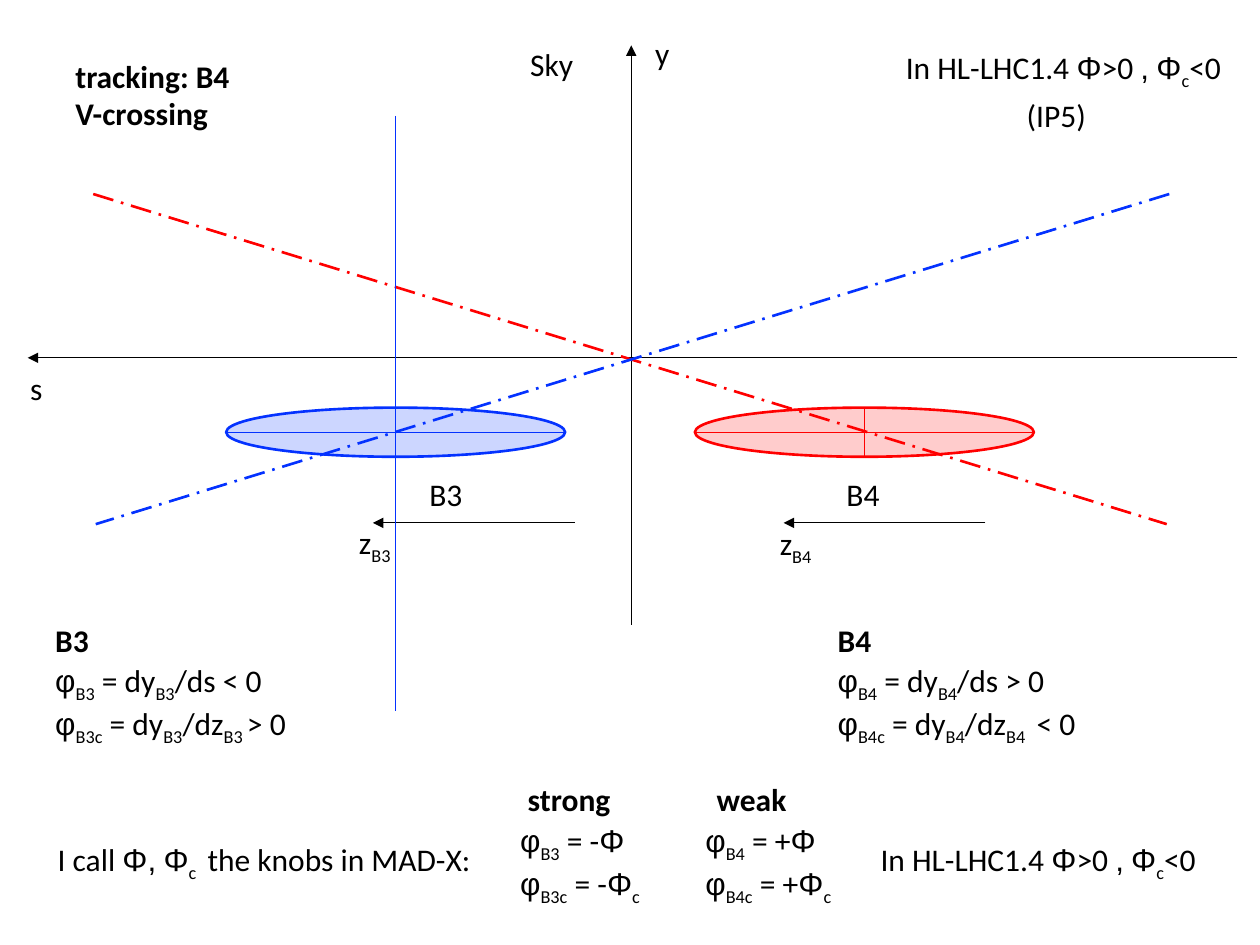
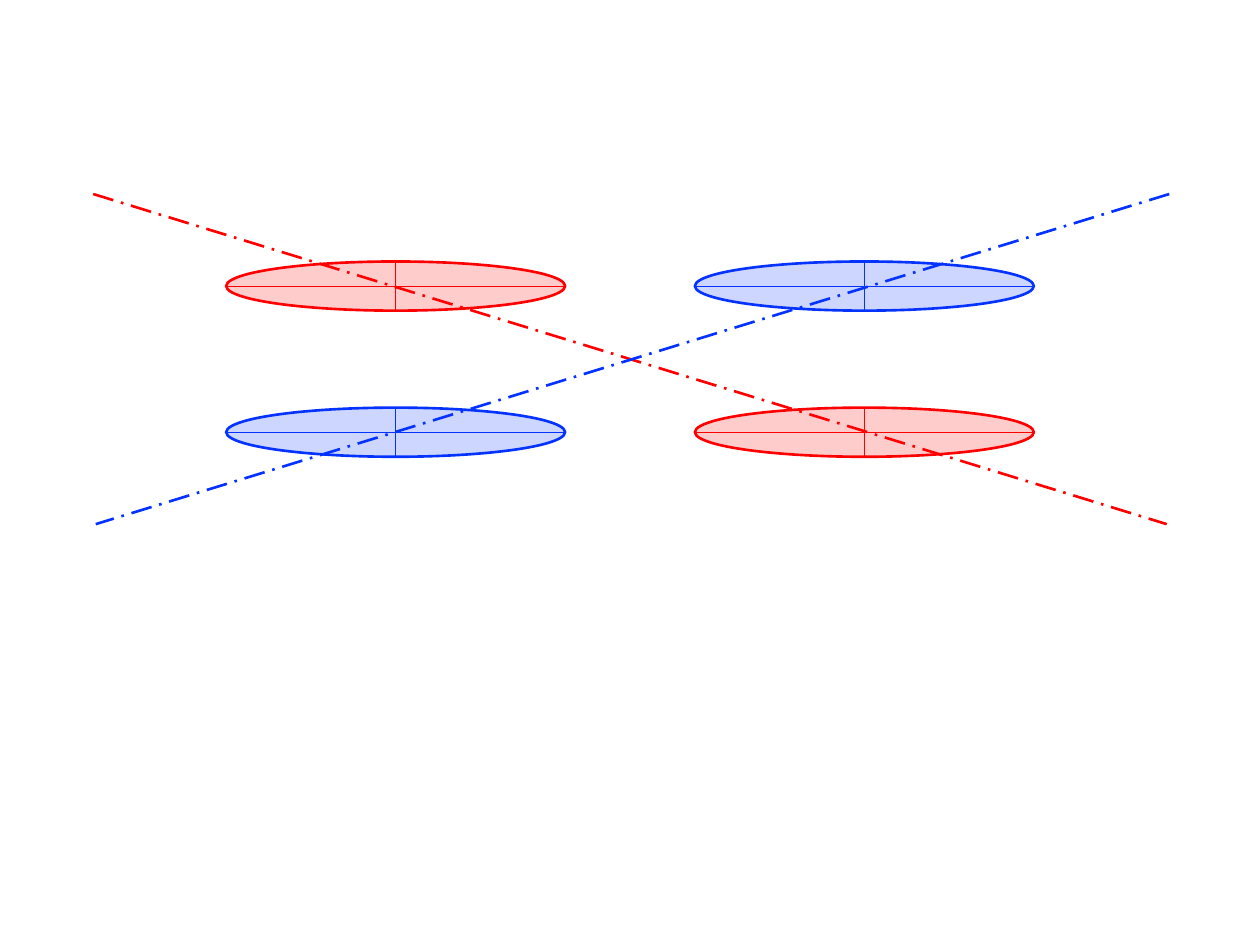
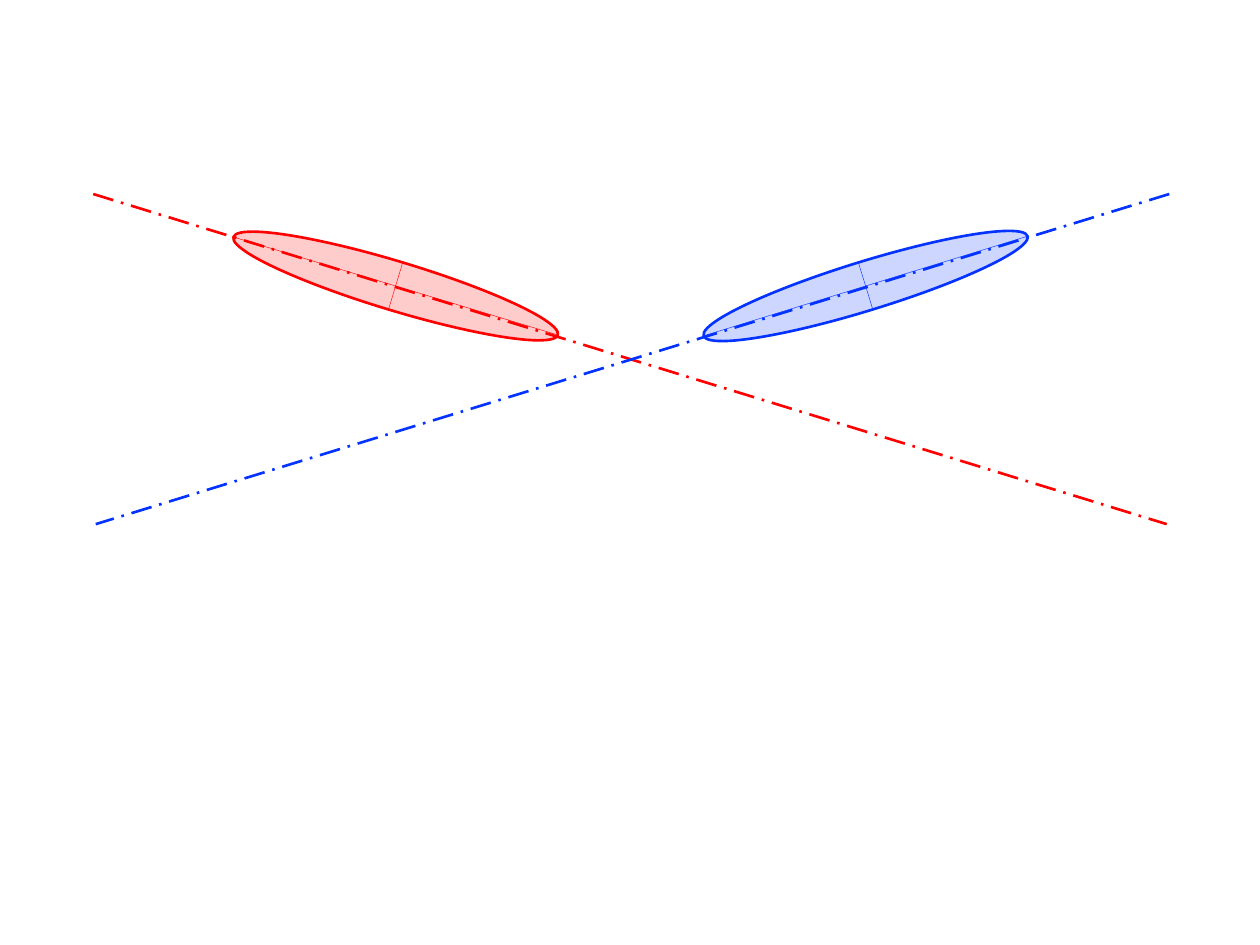
from itertools import groupby
from math import cos, radians, sin

from lxml.etree import SubElement
from pptx import Presentation
from pptx.dml.color import RGBColor
from pptx.enum.dml import MSO_LINE
from pptx.enum.shapes import MSO_CONNECTOR, MSO_SHAPE
from pptx.enum.text import MSO_AUTO_SIZE
from pptx.oxml.ns import qn
from pptx.util import Inches, Pt

COLORS = {"black": "000000", "red": "FF0000", "blue": "0432FF"}
FONT, SYMBOL_FONT = "Calibri", "Arial"
SYMBOLS = "φΦ,"  # characters set in the symbol font
BUNCH_W, BUNCH_H = 2.69, 0.39
LEFT_X, RIGHT_X = 3.14, 6.86
UPPER_Y, LOWER_Y = 2.27, 3.43


def add_line(shapes, start, end, color, width, dash=None, arrow=False):
    """Draw a straight line, optionally dashed or with an arrowhead at its end."""
    sp = shapes.add_connector(MSO_CONNECTOR.STRAIGHT,
                              *[Inches(v) for v in (*start, *end)])
    sp.line.color.rgb = RGBColor.from_string(COLORS[color])
    sp.line.width = Pt(width)
    if dash:
        sp.line.dash_style = dash
    if arrow:
        SubElement(sp.line._get_or_add_ln(), qn("a:tailEnd"), type="triangle")
    SubElement(sp._element.spPr, qn("a:effectLst"))


def add_bunch(s, cx, cy, color, angle=0, vertical=None):
    """Draw a translucent beam bunch with its two axes, turned clockwise by angle."""
    shapes = s.shapes.add_group_shape().shapes
    sp = shapes.add_shape(MSO_SHAPE.OVAL, Inches(cx - BUNCH_W / 2), Inches(cy - BUNCH_H / 2),
                          Inches(BUNCH_W), Inches(BUNCH_H))
    sp.rotation = angle
    sp.shadow.inherit = False
    sp.fill.solid()
    sp.fill.fore_color.rgb = RGBColor.from_string(COLORS[color])
    SubElement(sp._element.spPr.find(".//" + qn("a:srgbClr")), qn("a:alpha"), val="20000")
    sp.line.color.rgb = RGBColor.from_string(COLORS[color])
    sp.line.width = Pt(1.5)

    c, d = cos(radians(angle)), sin(radians(angle))
    a, b = BUNCH_W / 2, BUNCH_H / 2
    add_line(shapes, (cx - a * c, cy - a * d), (cx + a * c, cy + a * d), color, 0.25)
    top, bottom = vertical or (cy - b, cy + b)
    add_line(shapes, (cx - (top - cy) * d, cy + (top - cy) * c),
             (cx - (bottom - cy) * d, cy + (bottom - cy) * c), color, 0.25)


prs = Presentation()
prs.slide_width, prs.slide_height = Inches(10), Inches(7.5)
slides = [prs.slides.add_slide(prs.slide_layouts[6]) for _ in range(3)]
axes_slide, pairs_slide, tilted_slide = slides

# Axes of the first slide lie behind the beams
for start, end in [((5.01, 4.96), (5.01, 0.36)), ((9.82, 2.84), (0.22, 2.84)),
                   ((4.56, 4.15), (2.96, 4.15)), ((7.82, 4.15), (6.22, 4.15))]:
    add_line(axes_slide.shapes, start, end, "black", 0.5, arrow=True)

# Crossing beams, shared by all slides
for s in slides:
    add_line(s.shapes, (0.74, 1.54), (9.26, 4.16), "red", 1.5, MSO_LINE.LONG_DASH_DOT)
    add_line(s.shapes, (9.28, 1.54), (0.76, 4.16), "blue", 1.5, MSO_LINE.LONG_DASH_DOT)

# Bunches
add_bunch(axes_slide, LEFT_X, LOWER_Y, "blue", vertical=(0.92, 5.64))
add_bunch(axes_slide, RIGHT_X, LOWER_Y, "red")

add_bunch(pairs_slide, RIGHT_X, UPPER_Y, "blue")
add_bunch(pairs_slide, LEFT_X, UPPER_Y, "red")
add_bunch(pairs_slide, LEFT_X, LOWER_Y, "blue")
add_bunch(pairs_slide, RIGHT_X, LOWER_Y, "red")

add_bunch(tilted_slide, RIGHT_X + 0.01, UPPER_Y, "blue", -17.1)
add_bunch(tilted_slide, LEFT_X, UPPER_Y, "red", 16.8)

# Labels: left, top, width, bold, wrap, paragraphs; subscripts stand between bars
KNOBS = "In HL-LHC1.4 Φ>0 , Φ|c|<0"
labels = [
    (5.1, 0.22, 0.32, False, False, ["y"]),
    (0.14, 2.88, 0.31, False, False, ["s"]),
    (4.11, 0.31, 0.55, False, False, ["Sky"]),
    (0.5, 0.4, 1.44, True, False, ["tracking: B4", "V-crossing"]),
    (7.09, 0.33, 2.79, False, False, [KNOBS]),
    (8.05, 0.71, 0.68, False, False, ["(IP5)"]),
    (3.31, 3.72, 0.47, False, False, ["B3"]),
    (6.62, 3.72, 0.47, False, False, ["B4"]),
    (2.75, 4.1, 0.48, False, False, ["z|B3|"]),
    (6.09, 4.11, 0.48, False, False, ["z|B4|"]),
    (0.34, 4.88, 0.47, True, False, ["B3"]),
    (0.34, 5.2, 2.3, False, True,
     ["φ|B3| = dy|B3|/ds < 0", "φ|B3c| = dy|B3|/dz|B3 |> 0"]),
    (6.55, 4.88, 0.47, True, False, ["B4"]),
    (6.55, 5.2, 2.23, False, True,
     ["φ|B4| = dy|B4|/ds > 0", "φ|B4c| = dy|B4|/dz|B4 | < 0"]),
    (0.36, 6.62, 3.54, False, False, ["I call Φ, Φ|c | the knobs in MAD-X:"]),
    (4.09, 6.14, 0.86, True, False, ["strong"]),
    (4.03, 6.47, 2.3, False, True, ["φ|B3| = -Φ", "φ|B3c| = -Φ|c|"]),
    (5.59, 6.14, 0.76, True, False, ["weak"]),
    (5.5, 6.47, 2.23, False, True, ["φ|B4| = +Φ", "φ|B4c| = +Φ|c|"]),
    (6.89, 6.62, 2.79, False, False, [KNOBS]),
]
for left, top, width, bold, wrap, paragraphs in labels:
    height = 0.4 if len(paragraphs) == 1 else 0.71
    sp = axes_slide.shapes.add_textbox(Inches(left), Inches(top), Inches(width), Inches(height))
    tf = sp.text_frame
    tf.word_wrap = wrap
    tf.auto_size = MSO_AUTO_SIZE.SHAPE_TO_FIT_TEXT
    for i, paragraph in enumerate(paragraphs):
        p = tf.paragraphs[0] if i == 0 else tf.add_paragraph()
        for j, part in enumerate(paragraph.split("|")):
            for symbol, chars in groupby(part, lambda ch: ch in SYMBOLS):
                r = p.add_run()
                r.text = "".join(chars)
                r.font.name = SYMBOL_FONT if symbol else FONT
                r.font.size = Pt(18)
                r.font.bold = bold
                r.font.color.rgb = RGBColor.from_string(COLORS["black"])
                if j % 2:
                    r.font._element.set("baseline", "-25000")

prs.save("out.pptx")
